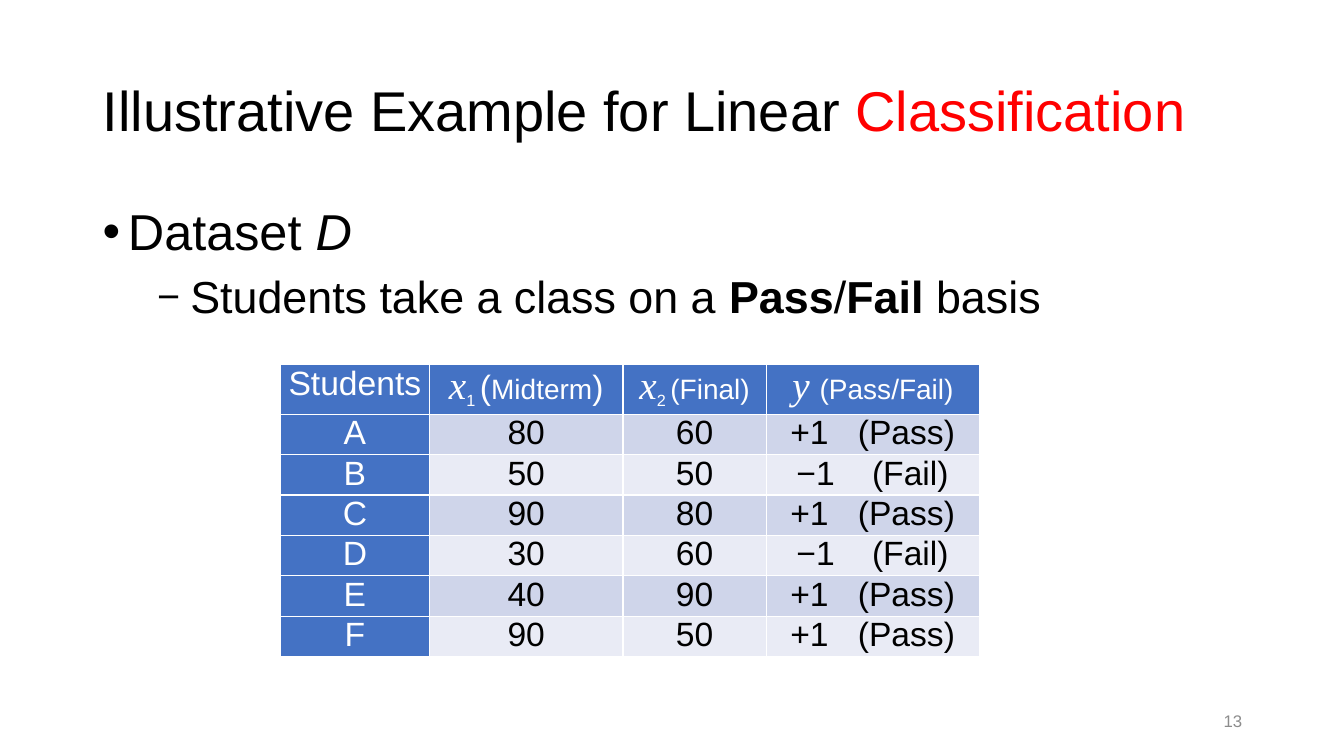
from lxml import etree
from pptx import Presentation
from pptx import util as u
from pptx.dml.color import RGBColor
from pptx.enum import text
from pptx.oxml.ns import qn

WIDE, HIGH = 13.33, 7.5
BLACK, WHITE, RED, GREY = "000000", "FFFFFF", "FF0000", "8C8C8C"
BLUE, BANDS = "4472C4", ("CFD5EA", "E9EBF5")
ALIGN, ANCHOR = text.PP_ALIGN, text.MSO_ANCHOR
SERIF = {"name": "Times New Roman", "size": 28, "italic": True}

SCORES = [("A", 80, 60), ("B", 50, 50), ("C", 90, 80),
          ("D", 30, 60), ("E", 40, 90), ("F", 90, 50)]
FAILED = "BD"
HEADS = [
    [("Students", {})],
    [("x", SERIF), ("1 ", {"size": 20, "sub": True}), ("(", {}),
     ("Midterm", {"size": 20}), (")", {})],
    [("x", SERIF), ("2 ", {"size": 20, "sub": True}), ("(Final)", {"size": 20})],
    [("y ", SERIF), ("(Pass/Fail)", {"size": 20})],
]
COLS = (1.48, 1.92, 1.42, 2.12)
HEAD_ROW, ROW = 0.44, 0.372


def tint(code):
    return RGBColor.from_string(code)


def assign(item, **values):
    for key, value in values.items():
        setattr(item, key, value)


def inches(box):
    return dict(zip(("left", "top", "width", "height"), map(u.Inches, box)))


def node(parent, tag, **attrs):
    return etree.SubElement(parent, qn(tag), {k: str(v) for k, v in attrs.items()})


def write(para, runs, size, color=BLACK):
    """Add (wording, format) runs; a format may override the base values."""
    for words, style in runs:
        look = {"name": "Arial", "size": size, "color": color, **style}
        run = para.add_run()
        run.text = words
        run.font.color.rgb = tint(look.pop("color"))
        if look.pop("sub", False):
            run.font._element.set("baseline", "-25000")
        look["size"] = u.Pt(look["size"])
        assign(run.font, **look)


def bullet(para, sign, margin, hang, share=100):
    props = para._p.get_or_add_pPr()
    props.set("marL", str(u.Inches(margin)))
    props.set("indent", str(-u.Inches(hang)))
    node(props, "a:buSzPct", val=share * 1000)
    node(props, "a:buFont", typeface="Arial")
    node(props, "a:buChar", char=sign)


def title(slide, box):
    shape = slide.shapes.title
    assign(shape, **inches(box))
    assign(shape.text_frame, vertical_anchor=ANCHOR.MIDDLE, word_wrap=True,
           auto_size=text.MSO_AUTO_SIZE.NONE)
    para = shape.text_frame.paragraphs[0]
    assign(para, alignment=ALIGN.LEFT, line_spacing=0.9)
    write(para, [("Illustrative Example for Linear ", {}),
                 ("Classification", {"color": RED})], 40)


def body(slide, box):
    frame = slide.shapes.add_textbox(*inches(box).values()).text_frame
    frame.word_wrap = True
    bold = {"bold": True}
    first, second = frame.paragraphs[0], frame.add_paragraph()
    for para in (first, second):
        assign(para, line_spacing=0.9, space_before=u.Pt(10))
    bullet(first, "•", 0.25, 0.25)
    write(first, [("Dataset ", {}), ("D", {"italic": True})], 36)
    bullet(second, "−", 0.87, 0.33, 88)
    write(second, [("Students take a class on a ", {}), ("Pass", bold), ("/", {}),
                   ("Fail", bold), (" basis", {})], 32)


def border(cell):
    props = cell._tc.get_or_add_tcPr()
    for n, side in enumerate(("a:lnL", "a:lnR", "a:lnT", "a:lnB")):
        line = etree.Element(qn(side), w=str(u.Pt(1)))
        node(node(line, "a:solidFill"), "a:srgbClr", val=WHITE)
        props.insert(n, line)


def fill(cell, runs, back, color):
    assign(cell, margin_left=u.Inches(0.07), margin_right=u.Inches(0.07),
           margin_top=0, margin_bottom=0)
    cell.fill.solid()
    cell.fill.fore_color.rgb = tint(back)
    border(cell)
    para = cell.text_frame.paragraphs[0]
    para.alignment = ALIGN.CENTER
    write(para, runs, 24, color)


def grade(cell, failed, back):
    """Set the label and its result apart with a tab stop."""
    words, left, stop = ("−1\t(Fail)", 0.3, 0.75) if failed else ("+1\t(Pass)", 0.24, 0.67)
    fill(cell, [(words, {})], back, BLACK)
    cell.margin_left = u.Inches(left)
    para = cell.text_frame.paragraphs[0]
    para.alignment = ALIGN.LEFT
    tabs = node(para._p.get_or_add_pPr(), "a:tabLst")
    node(tabs, "a:tab", pos=u.Inches(stop), algn="l")


def marks(slide, left, top):
    size = (sum(COLS), HEAD_ROW + ROW * len(SCORES))
    table = slide.shapes.add_table(len(SCORES) + 1, len(COLS),
                                   *inches((left, top, *size)).values()).table
    for col, width in zip(table.columns, COLS):
        col.width = u.Inches(width)
    for n, row in enumerate(table.rows):
        row.height = u.Inches(ROW if n else HEAD_ROW)
    for n, runs in enumerate(HEADS):
        fill(table.cell(0, n), runs, BLUE, WHITE)
    for r, (name, *points) in enumerate(SCORES, 1):
        back = BANDS[(r - 1) % 2]
        fill(table.cell(r, 0), [(name, {})], BLUE, WHITE)
        for c, point in enumerate(points, 1):
            fill(table.cell(r, c), [(str(point), {})], back, BLACK)
        grade(table.cell(r, 3), name in FAILED, back)


def number(slide, box):
    frame = slide.shapes.add_textbox(*inches(box).values()).text_frame
    assign(frame, word_wrap=True, vertical_anchor=ANCHOR.MIDDLE)
    frame.paragraphs[0].alignment = ALIGN.RIGHT
    write(frame.paragraphs[0], [("13", {})], 12, GREY)


def main():
    deck = Presentation()
    assign(deck, slide_width=u.Inches(WIDE), slide_height=u.Inches(HIGH))
    slide = deck.slides.add_slide(deck.slide_layouts[5])
    edge, wide = 0.92, 11.5
    title(slide, (edge, 0.4, wide, 1.45))
    body(slide, (edge, 2, wide, 4.88))
    marks(slide, 2.78, 3.62)
    number(slide, (edge + wide - 3, 6.95, 3, 0.4))
    deck.save("out.pptx")


if __name__ == "__main__":
    main()
